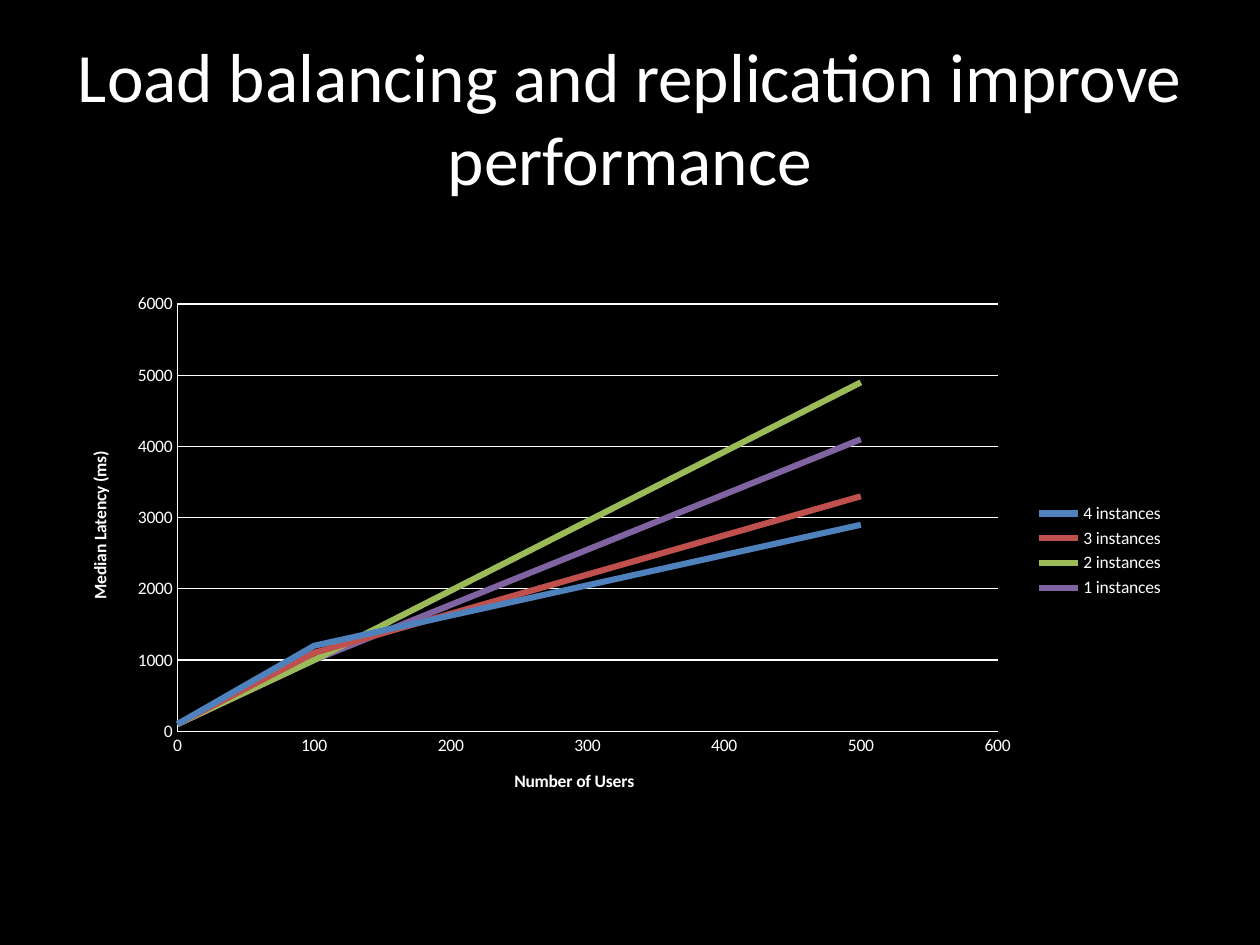
"""Build a slide comparing median latency across instance counts."""
from typing import NamedTuple

from pptx import Presentation
from pptx import util as u
from pptx.chart import data as chart_data
from pptx.dml.color import RGBColor
from pptx.enum import chart as charts, text

FONT, WHITE, BLACK = "Calibri", "FFFFFF", "000000"
USERS = (0, 100, 500)


class Curve(NamedTuple):
    """Latency measured for one number of instances."""
    name: str
    latencies: tuple[int, ...]
    color: str


class Scale(NamedTuple):
    """Title, upper limit and step of an axis."""
    title: str
    maximum: int
    step: int
    grid: bool


CURVES = (
    Curve("4 instances", (100, 1200, 2900), "4F81BD"),
    Curve("3 instances", (100, 1100, 3300), "C0504D"),
    Curve("2 instances", (100, 1000, 4900), "9BBB59"),
    Curve("1 instances", (100, 1000, 4100), "8064A2"),
)
USER_SCALE = Scale("Number of Users", 600, 100, False)
LATENCY_SCALE = Scale("Median Latency (ms)", 6000, 1000, True)


def paint(target, color: str) -> None:
    """Give a fill or a line a solid colour."""
    target.solid()
    target.fore_color.rgb = RGBColor.from_string(color)


def style_font(font, size: float, bold: bool = False) -> None:
    """Set the slide's typeface in white."""
    font.name, font.size, font.bold = FONT, u.Pt(size), bold
    font.color.rgb = RGBColor.from_string(WHITE)


def place(shape, left: float, top: float, width: float, height: float) -> None:
    """Position a shape in inches."""
    shape.left, shape.top = u.Inches(left), u.Inches(top)
    shape.width, shape.height = u.Inches(width), u.Inches(height)


def add_title(page, wording: str) -> None:
    """Fill and format the title placeholder."""
    box = page.shapes.title
    place(box, 0.5, 0.3, 9, 1.25)
    frame = box.text_frame
    frame.word_wrap = True
    frame.auto_size = text.MSO_AUTO_SIZE.NONE
    frame.vertical_anchor = text.MSO_ANCHOR.MIDDLE
    para = frame.paragraphs[0]
    para.alignment = text.PP_ALIGN.CENTER
    span = para.add_run()
    span.text = wording
    style_font(span.font, 39.6)


def format_axis(axis, scale: Scale) -> None:
    """Apply scale, title and white lines to an axis."""
    axis.minimum_scale, axis.maximum_scale = 0, scale.maximum
    axis.major_unit = scale.step
    axis.major_tick_mark = axis.minor_tick_mark = charts.XL_TICK_MARK.NONE
    axis.has_major_gridlines = scale.grid
    if scale.grid:
        paint(axis.major_gridlines.format.line.fill, WHITE)
    paint(axis.format.line.fill, WHITE)
    style_font(axis.tick_labels.font, 10)
    span = axis.axis_title.text_frame.paragraphs[0].add_run()
    span.text = scale.title
    style_font(span.font, 10, bold=True)


def add_latency_chart(page) -> None:
    """Draw the smooth latency curves."""
    data = chart_data.XyChartData()
    for curve in CURVES:
        series = data.add_series(curve.name)
        for users, latency in zip(USERS, curve.latencies):
            series.add_data_point(users, latency)
    chart = page.shapes.add_chart(
        charts.XL_CHART_TYPE.XY_SCATTER_SMOOTH_NO_MARKERS,
        u.Inches(0.5), u.Inches(2.25), u.Inches(8.84), u.Inches(4.24), data).chart
    style_font(chart.font, 10)
    chart.has_title = False
    chart.has_legend = True
    chart.legend.position = charts.XL_LEGEND_POSITION.RIGHT
    chart.legend.include_in_layout = False
    style_font(chart.legend.font, 10)
    format_axis(chart.category_axis, USER_SCALE)
    format_axis(chart.value_axis, LATENCY_SCALE)
    plot = chart.plots[0]
    plot.vary_by_categories = False
    for series, curve in zip(plot.series, CURVES):
        series.marker.style = charts.XL_MARKER_STYLE.NONE
        series.format.line.width = u.Pt(3.5)
        paint(series.format.line.fill, curve.color)


def main() -> None:
    """Create and save the deck."""
    deck = Presentation()
    deck.slide_width, deck.slide_height = u.Inches(10), u.Inches(7.5)
    page = deck.slides.add_slide(deck.slide_layouts[5])
    paint(page.background.fill, BLACK)
    add_title(page, "Load balancing and replication improve performance")
    add_latency_chart(page)
    deck.save("out.pptx")


if __name__ == "__main__":
    main()
